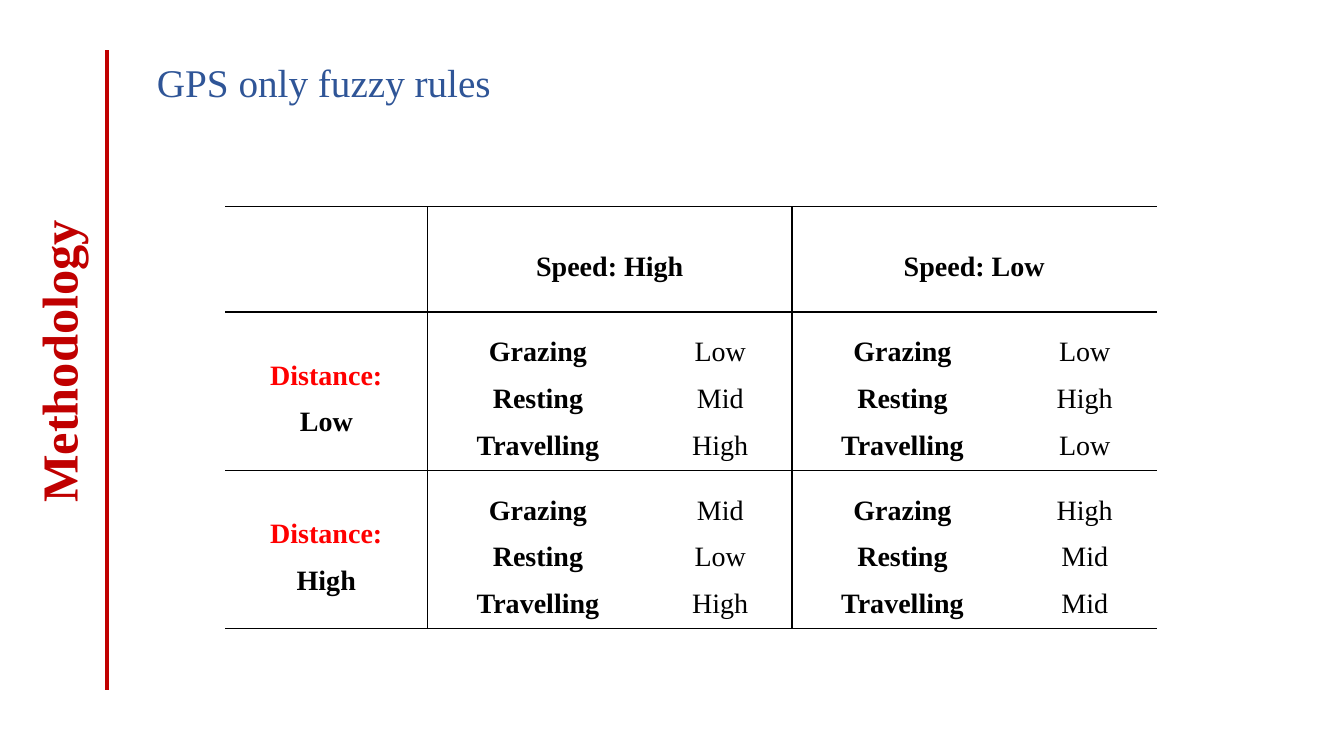
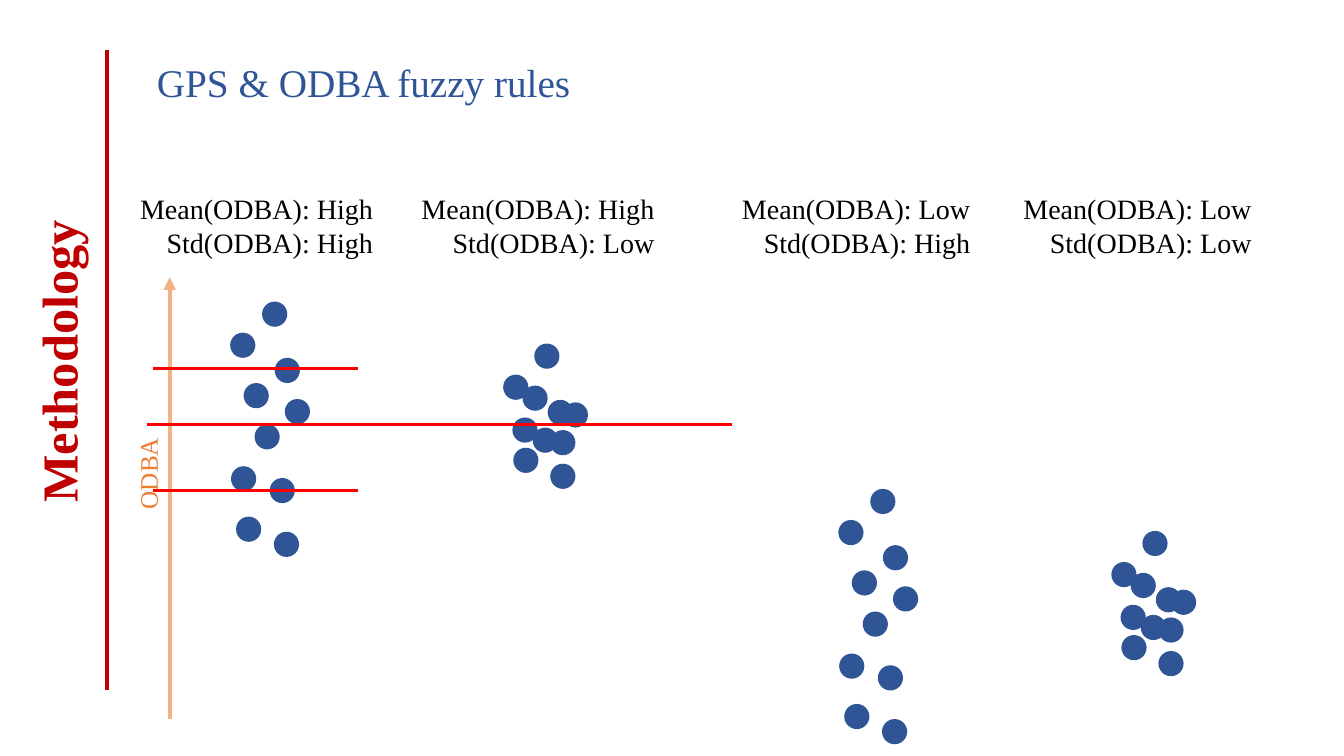
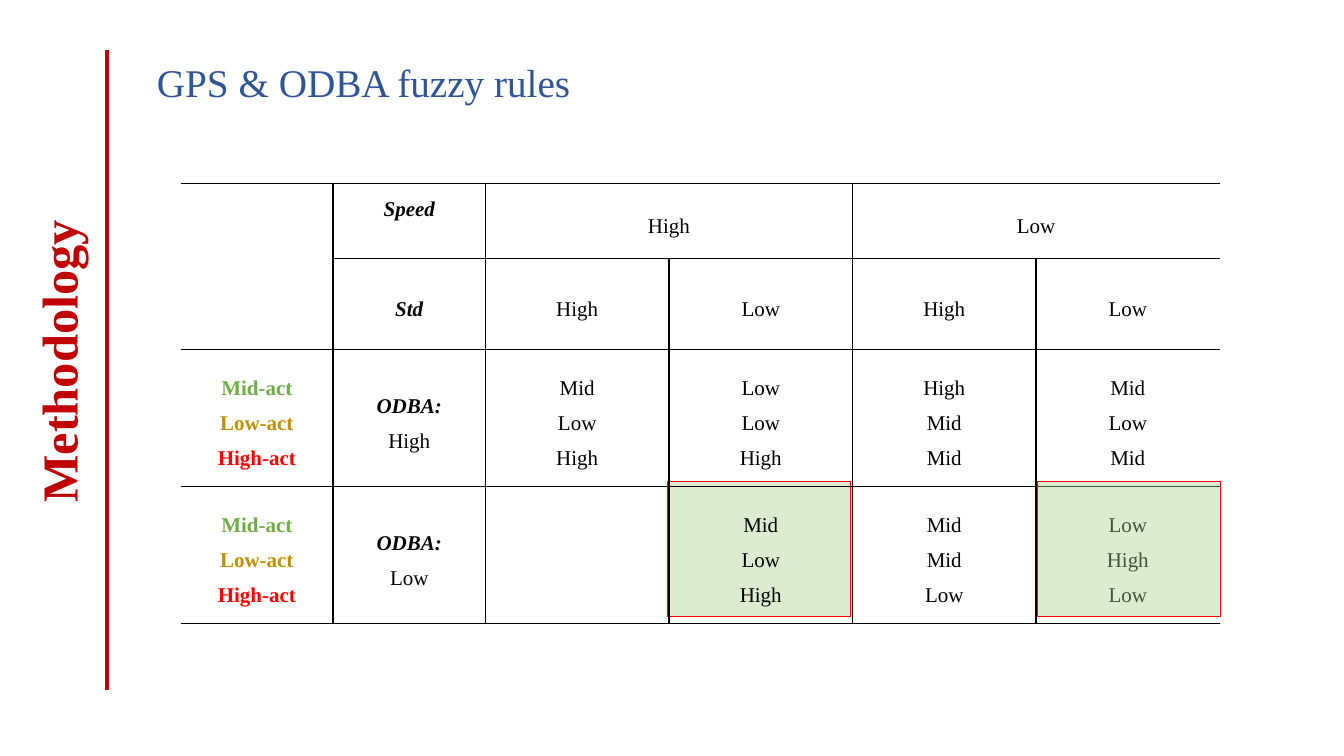
from dataclasses import dataclass

from pptx import Presentation
from pptx.dml.color import RGBColor
from pptx.enum.shapes import MSO_CONNECTOR, MSO_SHAPE
from pptx.enum.text import MSO_ANCHOR, PP_ALIGN
from pptx.oxml.ns import qn
from pptx.oxml.xmlchemy import OxmlElement
from pptx.util import Inches, Pt


@dataclass(frozen=True)
class Theme:
    font: str = "Times New Roman"
    ink: str = "000000"
    section: str = "C00000"
    blue: str = "2F5597"
    red: str = "FF0000"
    axis: str = "F4B183"
    orange: str = "ED7D31"
    green: str = "70AD47"
    gold: str = "BF9000"
    highlight: str = "A9D18E"
    section_size: int = 36
    title_size: int = 28
    body_size: int = 20
    axis_size: int = 18
    small_size: int = 15


THEME = Theme()
COLS, ROWS = 160, 90
WIDTH, HEIGHT = Inches(13.33), Inches(7.5)


def gx(n):
    return round(n * WIDTH / COLS)


def gy(n):
    return round(n * HEIGHT / ROWS)


def rgb(color):
    return RGBColor.from_string(color)


def child(parent, tag, **attrs):
    el = OxmlElement(tag)
    for name, value in attrs.items():
        el.set(name, str(value))
    parent.append(el)
    return el


def write(p, text, size=THEME.body_size, color=THEME.ink, bold=False,
          italic=False, align=PP_ALIGN.LEFT, spacing=1.0):
    p.alignment = align
    p.line_spacing = spacing
    r = p.add_run()
    r.text = text
    r.font.name = THEME.font
    r.font.size = Pt(size)
    r.font.bold = bold
    r.font.italic = italic
    r.font.color.rgb = rgb(color)


def lines(words, **fmt):
    return [(word, fmt) for word in words.split(" ")]


class Deck:
    """Draws the elements of a slide on a grid in the deck's style."""

    def __init__(self, prs):
        self.prs = prs
        self.slide = None

    def new_slide(self, section, title):
        self.slide = self.prs.slides.add_slide(self.prs.slide_layouts[6])
        self.text(-11.3, 38.6, 36.4, 8.5, [section], rotation=270, bold=True,
                  size=THEME.section_size, color=THEME.section)
        self.line(12.7, 6, 12.7, 82.2, THEME.section, 3)
        self.text(17.5, 6, 90, 12, [title], size=THEME.title_size,
                  color=THEME.blue, spacing=1.07, wrap=True)

    def text(self, x, y, w, h, paragraphs, rotation=0, wrap=False, **fmt):
        sp = self.slide.shapes.add_textbox(gx(x), gy(y), gx(w), gy(h))
        sp.rotation = rotation
        tf = sp.text_frame
        tf.word_wrap = wrap
        for i, text in enumerate(paragraphs):
            write(tf.add_paragraph() if i else tf.paragraphs[0], text, **fmt)

    def line(self, x1, y1, x2, y2, color, width, arrow=False):
        sp = self.slide.shapes.add_connector(
            MSO_CONNECTOR.STRAIGHT, gx(x1), gy(y1), gx(x2), gy(y2))
        sp.line.color.rgb = rgb(color)
        sp.line.width = Pt(width)
        if arrow:
            child(sp.line._get_or_add_ln(), "a:tailEnd", type="triangle")
        child(sp.element.spPr, "a:effectLst")

    def shape(self, kind, x, y, w, h, fill, opacity=100, outline=None):
        sp = self.slide.shapes.add_shape(kind, gx(x), gy(y), gx(w), gy(h))
        sp.shadow.inherit = False
        sp.fill.solid()
        sp.fill.fore_color.rgb = rgb(fill)
        if opacity < 100:
            color = sp.element.spPr.find(qn("a:solidFill")).find(qn("a:srgbClr"))
            child(color, "a:alpha", val=opacity * 1000)
        if outline:
            sp.line.color.rgb = rgb(outline)
            sp.line.width = Pt(0.75)
        else:
            sp.line.fill.background()

    def dots(self, x, y, offsets, size=3):
        for dx, dy in offsets:
            self.shape(MSO_SHAPE.OVAL, x + dx, y + dy, size, size, THEME.blue)

    def highlight(self, x, y, w, h):
        self.shape(MSO_SHAPE.RECTANGLE, x, y, w, h, THEME.highlight, 40, THEME.red)

    def table(self, x, y, widths, heights, cells, merges, dividers, size):
        tbl = self.slide.shapes.add_table(
            len(heights), len(widths), gx(x), gy(y),
            gx(sum(widths)), gy(sum(heights))).table
        tbl.first_row = tbl.horz_banding = False
        for col, w in zip(tbl.columns, widths):
            col.width = gx(w)
        for row, h in zip(tbl.rows, heights):
            row.height = gy(h)
        for r1, c1, r2, c2 in merges:
            tbl.cell(r1, c1).merge(tbl.cell(r2, c2))
        for r in range(len(heights)):
            for c in range(len(widths)):
                cell = tbl.cell(r, c)
                right = c + 1 in dividers and not tbl.cell(r, c + 1).is_spanned
                left = c in dividers and not cell.is_spanned
                self.borders(cell, L=left, R=right, T=True, B=True)
                self.fill_cell(cell, cells.get((r, c), []), size)

    def borders(self, cell, **sides):
        tc_pr = cell._tc.get_or_add_tcPr()
        for side, shown in sides.items():
            ln = child(tc_pr, f"a:ln{side}", w=Pt(1))
            if shown:
                child(child(ln, "a:solidFill"), "a:srgbClr", val=THEME.ink)
            else:
                child(ln, "a:noFill")

    def fill_cell(self, cell, content, size):
        cell.fill.background()
        cell.vertical_anchor = MSO_ANCHOR.MIDDLE
        cell.margin_left = cell.margin_right = Inches(0.08)
        cell.margin_top = cell.margin_bottom = 0
        tf = cell.text_frame
        for i, (text, fmt) in enumerate(content):
            write(tf.add_paragraph() if i else tf.paragraphs[0], text, size=size,
                  align=PP_ALIGN.CENTER, spacing=1.5, **fmt)


def gps_rules(deck):
    deck.new_slide("Methodology", "GPS only fuzzy rules")
    levels = [("Low", "Low Mid High", "Low High Low"),
              ("High", "Mid Low High", "High Mid Mid")]
    cells = {(0, 1): [("Speed: High", {"bold": True})],
             (0, 3): [("Speed: Low", {"bold": True})]}
    for r, (distance, *results) in enumerate(levels, 1):
        cells[r, 0] = (lines("Distance:", bold=True, color=THEME.red)
                       + lines(distance, bold=True))
        for c, result in zip((1, 3), results):
            cells[r, c] = lines("Grazing Resting Travelling", bold=True)
            cells[r, c + 1] = lines(result)
    deck.table(26.8, 24.6, [24.1] + [26.3, 17.1] * 2, [12.55, 18.85, 18.85], cells,
               merges=[(0, 1, 0, 2), (0, 3, 0, 4)], dividers=(1, 3),
               size=THEME.body_size)


def odba_patterns(deck):
    deck.new_slide("Methodology", "GPS & ODBA fuzzy rules")
    spread = [(1.6, 9.7), (2.9, 14.6), (0.1, 19.6), (4.7, 21), (5.3, 6.7),
              (0, 3.7), (3.8, 0), (0.7, 25.6), (5.2, 27.4), (6.5, 11.6)]
    tight = [(2.3, 5), (3.5, 10), (1.1, 8.8), (5.6, 10.3), (5.3, 6.7),
             (0, 3.7), (3.7, 0), (1.2, 12.4), (5.6, 14.3), (7.1, 7)]
    deck.line(20.2, 85.6, 20.2, 33, THEME.axis, 3, arrow=True)
    for i, mean in enumerate(("High", "Low")):
        dx, dy = 72.4 * i, 22.3 * i
        deck.dots(27.4 + dx, 35.9 + dy, spread)
        deck.dots(59.9 + dx, 40.9 + dy, tight)
        for j, std in enumerate(("High", "Low")):
            deck.text(15.2 + 71.1 * i + 33.5 * j, 22.2, 30.4, 9.2,
                      [f"Mean(ODBA): {mean}", f"Std(ODBA): {std}"],
                      align=PP_ALIGN.RIGHT)
    deck.text(12.1, 53.9, 11, 4.8, ["ODBA"], rotation=270,
              size=THEME.axis_size, color=THEME.orange)
    for x1, x2, y in ((17.5, 87.2, 50.5), (18.2, 42.6, 43.9), (18.2, 42.6, 58.4)):
        deck.line(x1, y, x2, y, THEME.red, 2.25)


def odba_rules(deck):
    deck.new_slide("Methodology", "GPS & ODBA fuzzy rules")
    levels = [("High", "Mid Low High", "Low Low High", "High Mid Mid", "Mid Low Mid"),
              ("Low", None, "Mid Low High", "Mid Mid Low", "Low High Low")]
    head = {"bold": True, "italic": True}
    cells = {(0, 1): lines("Speed ", **head), (0, 2): lines("High"),
             (0, 4): lines("Low"), (1, 1): lines("Std", **head)}
    for c, std in enumerate(("High", "Low") * 2, 2):
        cells[1, c] = lines(std)
    for r, (odba, *results) in enumerate(levels, 2):
        cells[r, 0] = (lines("Mid-act", bold=True, color=THEME.green)
                       + lines("Low-act", bold=True, color=THEME.gold)
                       + lines("High-act", bold=True, color=THEME.red))
        cells[r, 1] = lines("ODBA:", **head) + lines(odba)
        for c, result in enumerate(results, 2):
            cells[r, c] = lines(result) if result else []
    deck.highlight(79.5, 57.3, 21.8, 16.1)
    deck.table(21.5, 21.8, [18.15] * 2 + [21.85] * 4, [8.2, 10.8, 16.3, 16.3], cells,
               merges=[(0, 0, 1, 0), (0, 2, 0, 3), (0, 4, 0, 5)],
               dividers=range(1, 6), size=THEME.small_size)
    deck.highlight(123.5, 57.3, 21.8, 16.1)


def main():
    prs = Presentation()
    prs.slide_width, prs.slide_height = WIDTH, HEIGHT
    deck = Deck(prs)
    gps_rules(deck)
    odba_patterns(deck)
    odba_rules(deck)
    prs.save("out.pptx")


if __name__ == "__main__":
    main()
